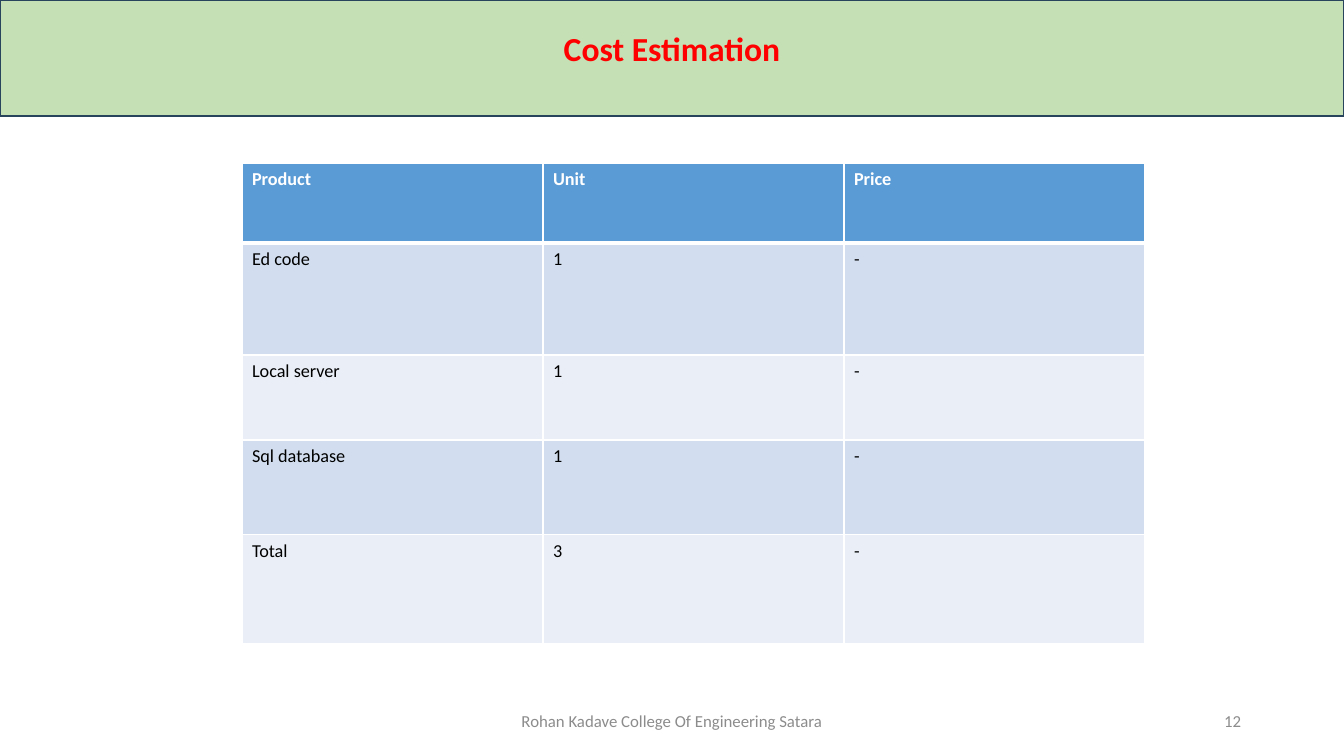
from dataclasses import dataclass

from lxml.etree import SubElement
from pptx import Presentation
from pptx.dml.color import RGBColor as Rgb
from pptx.enum.shapes import MSO_SHAPE as Shape
from pptx.enum.text import MSO_ANCHOR as Anchor, PP_ALIGN as Align
from pptx.oxml.ns import qn
from pptx.util import Pt

SCALE = 914400 / 100.8


@dataclass(frozen=True)
class Theme:
    font: str = "Calibri"
    band: str = "C5E0B4"
    edge: str = "28445D"
    title: str = "FF0000"
    head: str = "5B9BD5"
    odd: str = "D2DEEF"
    even: str = "EAEFF7"
    white: str = "FFFFFF"
    ink: str = "000000"
    foot: str = "8C8C8C"
    title_size: int = 24
    cell_size: int = 13
    foot_size: int = 12


THEME = Theme()
COLS = [301] * 3
ROWS = [
    (80, ["Product", "Unit", "Price"]),
    (112, ["Ed code", "1", "-"]),
    (85, ["Local server", "1", "-"]),
    (95, ["Sql database", "1", "-"]),
    (109, ["Total", "3", "-"]),
]


def px(*vals):
    return [round(val * SCALE) for val in vals]


def style(par, size, color, bold=False):
    font = par.font
    font.name, font.size, font.bold = THEME.font, Pt(size), bold
    font.color.rgb = Rgb.from_string(color)


def add_band(slide, box):
    band = slide.shapes.add_shape(Shape.RECTANGLE, *px(*box))
    band.shadow.inherit = False
    band.fill.solid()
    band.fill.fore_color.rgb = Rgb.from_string(THEME.band)
    band.line.color.rgb = Rgb.from_string(THEME.edge)
    band.line.width = Pt(1)


def add_label(slide, box, text, size, color, align, bold=False,
              anchor=Anchor.MIDDLE):
    frame = slide.shapes.add_textbox(*px(*box)).text_frame
    frame.word_wrap = True
    frame.vertical_anchor = anchor
    par = frame.paragraphs[0]
    par.text, par.alignment = text, align
    style(par, size, color, bold)


def add_edges(cell, top, bottom):
    """Draw white cell borders; top and bottom are widths in points."""
    props = cell._tc.get_or_add_tcPr()
    for side, width in zip("LRTB", (1, 1, top, bottom)):
        line = SubElement(props, qn(f"a:ln{side}"), w=str(Pt(width)))
        fill = SubElement(line, qn("a:solidFill"))
        SubElement(fill, qn("a:srgbClr"), val=THEME.white)


def add_grid(slide, left, top):
    high = sum(row[0] for row in ROWS)
    box = px(left, top, sum(COLS), high)
    grid = slide.shapes.add_table(len(ROWS), len(COLS), *box).table
    for col, wide in zip(grid.columns, px(*COLS)):
        col.width = wide
    for i, (tall, texts) in enumerate(ROWS):
        grid.rows[i].height = px(tall)[0]
        head = i == 0
        back = THEME.head if head else (THEME.even, THEME.odd)[i % 2]
        for j, text in enumerate(texts):
            cell = grid.cell(i, j)
            add_edges(cell, 3 if i == 1 else 1, 3 if head else 1)
            cell.fill.solid()
            cell.fill.fore_color.rgb = Rgb.from_string(back)
            cell.text = text
            ink = THEME.white if head else THEME.ink
            style(cell.text_frame.paragraphs[0], THEME.cell_size, ink, head)


def main():
    deck = Presentation()
    deck.slide_width, deck.slide_height = px(1344, 756)
    slide = deck.slides.add_slide(deck.slide_layouts[6])
    add_band(slide, (0, 0, 1344, 116))
    add_label(slide, (0, 23, 1344, 50), "Cost Estimation", THEME.title_size,
              THEME.title, Align.CENTER, True, Anchor.TOP)
    add_grid(slide, 242, 163)
    add_label(slide, (445, 701, 454, 40),
              "Rohan Kadave College Of Engineering Satara",
              THEME.foot_size, THEME.foot, Align.CENTER)
    add_label(slide, (949, 701, 302, 40), "12",
              THEME.foot_size, THEME.foot, Align.RIGHT)
    deck.save("out.pptx")


if __name__ == "__main__":
    main()
